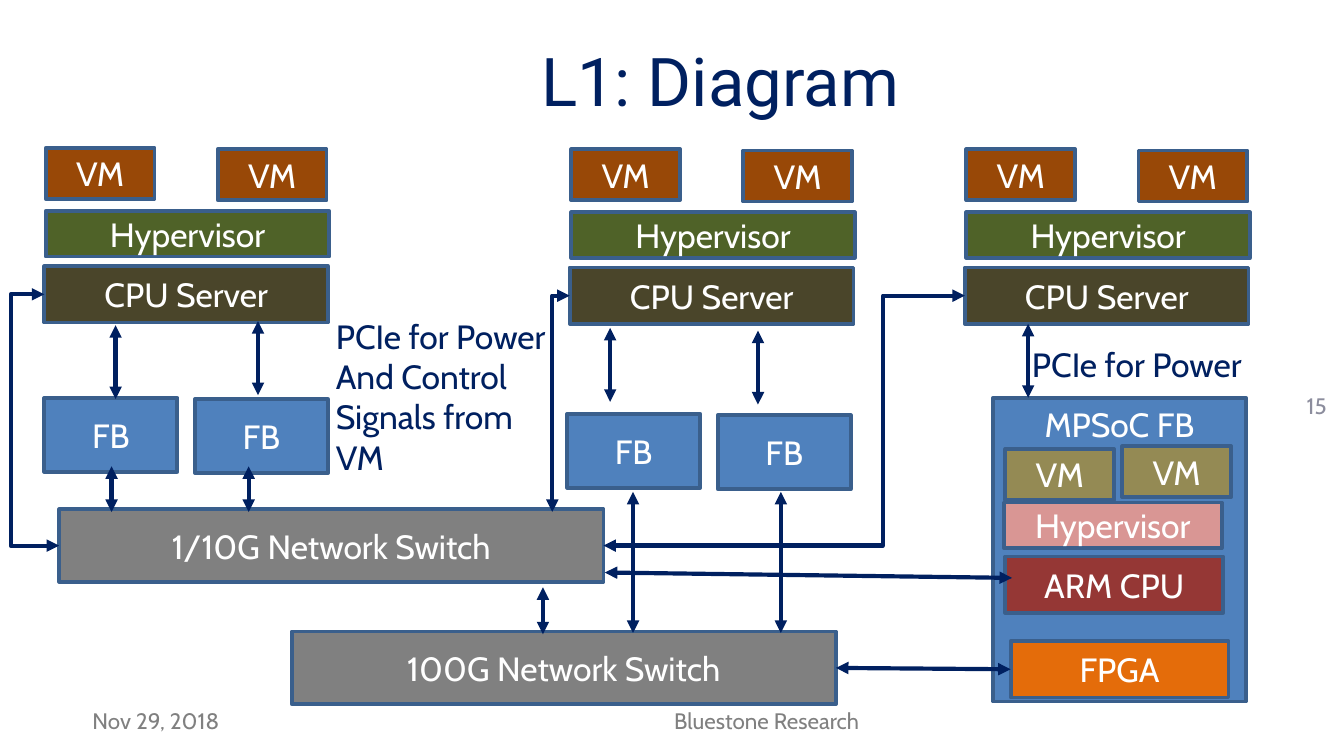
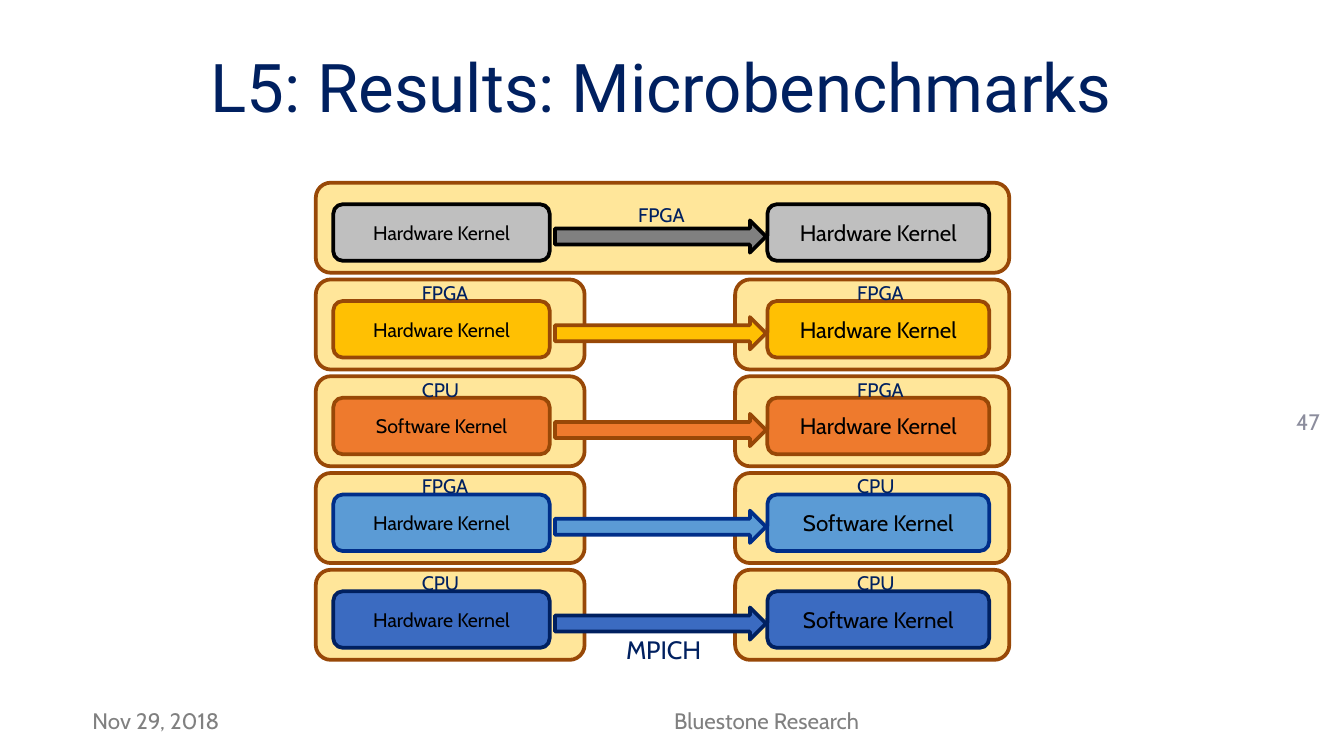
import pptx
import pptx.util
import pptx.dml.color
import pptx.enum.shapes
import pptx.enum.text
import pptx.oxml
import pptx.oxml.ns
from lxml import etree

Inches = pptx.util.Inches
Pt = pptx.util.Pt
RGBColor = pptx.dml.color.RGBColor
Shape = pptx.enum.shapes.MSO_SHAPE
Link = pptx.enum.shapes.MSO_CONNECTOR
Align = pptx.enum.text.PP_ALIGN
Anchor = pptx.enum.text.MSO_ANCHOR
Fit = pptx.enum.text.MSO_AUTO_SIZE
qn = pptx.oxml.ns.qn

NAVY = RGBColor(0x00, 0x20, 0x60)
WHITE = RGBColor(0xFF, 0xFF, 0xFF)
BLACK = RGBColor(0x00, 0x00, 0x00)
GREY = RGBColor(0x80, 0x80, 0x80)
SILVER = RGBColor(0xBF, 0xBF, 0xBF)
MIST = RGBColor(0x8C, 0x8D, 0x9D)
EDGE = RGBColor(0x3A, 0x5F, 0x8C)
BLUE = RGBColor(0x4F, 0x81, 0xBD)
UMBER = RGBColor(0x4A, 0x45, 0x2A)
GREEN = RGBColor(0x4F, 0x62, 0x28)
BROWN = RGBColor(0x98, 0x48, 0x07)
OLIVE = RGBColor(0x94, 0x8A, 0x54)
PINK = RGBColor(0xD9, 0x96, 0x94)
RED = RGBColor(0x95, 0x37, 0x35)
FLAME = RGBColor(0xE4, 0x6C, 0x0A)
CREAM = RGBColor(0xFF, 0xE6, 0x9A)
GOLD = RGBColor(0xFF, 0xC0, 0x03)
ORANGE = RGBColor(0xEE, 0x7A, 0x2D)
SKY = RGBColor(0x5B, 0x9B, 0xD5)
COBALT = RGBColor(0x00, 0x2E, 0x89)
ROYAL = RGBColor(0x3B, 0x6B, 0xC1)

HARD, SOFT = "Hardware Kernel", "Software Kernel"
ROWS = [
    (SILVER, GREY, BLACK, HARD, HARD, None, None),
    (GOLD, GOLD, BROWN, HARD, HARD, "FPGA", "FPGA"),
    (ORANGE, ORANGE, BROWN, SOFT, HARD, "CPU", "FPGA"),
    (SKY, SKY, COBALT, HARD, SOFT, "FPGA", "CPU"),
    (ROYAL, ROYAL, NAVY, HARD, SOFT, "CPU", "CPU"),
]


def place(box):
    return [Inches(n) for n in box]


def write(frame, lines, size, color, align, font="Cabin"):
    for i, line in enumerate(lines):
        para = frame.paragraphs[0] if i == 0 else frame.add_paragraph()
        para.alignment = align
        run = para.add_run()
        run.text = line
        run.font.size = Pt(size)
        run.font.name = font
        run.font.color.rgb = color


def label(slide, box, lines, size=12, color=NAVY, align=Align.LEFT,
          anchor=Anchor.MIDDLE, font="Cabin", wrap=True):
    frame = slide.shapes.add_textbox(*place(box)).text_frame
    frame.word_wrap = wrap
    frame.auto_size = Fit.NONE if wrap else Fit.SHAPE_TO_FIT_TEXT
    frame.vertical_anchor = anchor
    write(frame, lines, size, color, align, font)


def tag(slide, box, text, size=10.5):
    label(slide, box, [text], size, anchor=Anchor.TOP, wrap=False)


def block(slide, box, fill, text=None, edge=EDGE, kind=Shape.RECTANGLE,
          size=18, color=WHITE, anchor=Anchor.MIDDLE):
    shape = slide.shapes.add_shape(kind, *place(box))
    shape.shadow.inherit = False
    shape.fill.solid()
    shape.fill.fore_color.rgb = fill
    shape.line.color.rgb = edge
    shape.line.width = Pt(2)
    if text:
        shape.text_frame.word_wrap = True
        shape.text_frame.vertical_anchor = anchor
        write(shape.text_frame, [text], size, color, Align.CENTER)


def wire(slide, x1, y1, x2, y2, kind=Link.STRAIGHT):
    link = slide.shapes.add_connector(kind, *place((x1, y1, x2, y2)))
    link.line.color.rgb = NAVY
    link.line.width = Pt(2.25)
    props = link._element.spPr
    line = props.find(qn("a:ln"))
    for end in ("a:headEnd", "a:tailEnd"):
        etree.SubElement(line, qn(end), type="triangle")
    etree.SubElement(props, qn("a:effectLst"))
    return props.find(qn("a:prstGeom"))


def bend(slide, x1, y1, x2, y2, via):
    geom = wire(slide, x1, y1, x2, y2, Link.ELBOW)
    if via == x2:
        geom.set("prst", "bentConnector2")
        return
    ratio = round((via - x1) / (x2 - x1) * 100000)
    etree.SubElement(geom.find(qn("a:avLst")), qn("a:gd"),
                     name="adj1", fmla=f"val {ratio}")


def frame_page(slide, title, head, page, spot):
    label(slide, (*head, 8.66, 0.82), [title], 36, NAVY, Align.CENTER,
          font="Roboto")
    label(slide, (*spot, 0.54, 1), [page], 12, MIST, Align.RIGHT)
    label(slide, (0.59, 5.21, 1.57, 0.3), ["Nov 29, 2018"], 12, GREY)
    label(slide, (2.32, 5.21, 6.77, 0.3), ["Bluestone Research"], 12, GREY,
          Align.CENTER)


def server(slide, x, y):
    for i in range(2):
        block(slide, (x + 0.01 + 1.28 * i, y + 0.01 * i, 0.81, 0.38),
              BROWN, "VM")
    block(slide, (x + 0.01, y + 0.47, 2.11, 0.34), GREEN, "Hypervisor")
    block(slide, (x, y + 0.88, 2.11, 0.42), UMBER, "CPU Server")


def boards(slide, x, y):
    for i in range(2):
        block(slide, (x + 1.12 * i, y + 0.01 * i, 0.99, 0.55), BLUE, "FB")


def combo(slide, x, y):
    block(slide, (x, y, 1.88, 2.26), BLUE, "MPSoC FB", anchor=Anchor.TOP)
    parts = [
        (0.09, 1.18, 1.62, 0.42, RED, "ARM CPU"),
        (0.08, 0.78, 1.62, 0.34, PINK, "Hypervisor"),
        (0.09, 0.38, 0.81, 0.38, OLIVE, "VM"),
        (0.96, 0.36, 0.81, 0.38, OLIVE, "VM"),
        (0.13, 1.81, 1.62, 0.42, FLAME, "FPGA"),
    ]
    for dx, dy, w, h, fill, text in parts:
        block(slide, (x + dx, y + dy, w, h), fill, text)


def wires(slide):
    drops = [
        (0.83, 3.47, 0.34), (1.85, 3.47, 0.34), (4.04, 4.37, 0.35),
        (4.71, 3.66, 1.05), (5.81, 3.66, 1.05), (0.86, 2.42, 0.55),
        (1.92, 2.39, 0.55), (4.54, 2.44, 0.55), (5.64, 2.46, 0.55),
        (7.65, 2.41, 0.55),
    ]
    for x, y, h in drops:
        wire(slide, x, y, x, y + h)
    wire(slide, 6.22, 4.97, 7.52, 4.98)
    wire(slide, 4.5, 4.26, 7.53, 4.3)
    bend(slide, 0.33, 2.19, 0.44, 4.06, 0.08)
    bend(slide, 4.24, 2.2, 4.11, 3.81, 4.11)
    bend(slide, 7.18, 2.2, 4.49, 4.06, 6.57)


def diagram(slide):
    frame_page(slide, "L1: Diagram", (1.03, 0.18), "15", (9.43, 2.52))
    for x, y in ((0.33, 1.1), (4.24, 1.11), (7.18, 1.11)):
        server(slide, x, y)
    boards(slide, 0.33, 2.96)
    boards(slide, 4.22, 3.08)
    block(slide, (0.44, 3.79, 4.05, 0.54), GREY, "1/10G Network Switch")
    block(slide, (2.17, 4.7, 4.05, 0.54), GREY, "100G Network Switch")
    combo(slide, 7.39, 2.96)
    wires(slide)
    tag(slide, (7.58, 2.51, 1.79, 0.4), "PCIe for Power", 18)
    label(slide, (2.4, 2.3, 1.81, 1.01),
          ["PCIe for Power", "And Control", "Signals from VM"], 18,
          anchor=Anchor.TOP)


def lane(slide, x, y, row):
    fill, shaft, edge, left, right, near, far = row
    curve = Shape.ROUNDED_RECTANGLE
    bands = [(0, 2), (3.12, 2.04)] if near else [(0, 5.16)]
    for dx, w in bands:
        block(slide, (x + dx, y, w, 0.67), CREAM, edge=BROWN, kind=curve)
    for dx, w, text, size in ((0.13, 1.61, left, 10.5),
                              (3.36, 1.65, right, 12)):
        block(slide, (x + dx, y + 0.16, w, 0.42), fill, text, edge, curve,
              size, BLACK)
    block(slide, (x + 1.78, y + 0.28, 1.57, 0.24), shaft, edge=edge,
          kind=Shape.RIGHT_ARROW)
    tags = [(0.69, near), (3.93, far)] if near else [(2.3, "FPGA")]
    dy = -0.04 if near else 0.1
    for dx, text in tags:
        w = 0.55 if text == "FPGA" else 0.48
        tag(slide, (x + dx, y + dy, w, 0.28), text)


def results(slide):
    frame_page(slide, "L5: Results: Microbenchmarks", (0.59, 0.23), "47",
               (9.38, 2.64))
    for i, row in enumerate(ROWS):
        lane(slide, 2.35, 1.36 + 0.72 * i, row)
    tag(slide, (4.56, 4.67, 0.76, 0.33), "MPICH", 13.5)


def main():
    deck = pptx.Presentation()
    deck.slide_width = Inches(10)
    deck.slide_height = Inches(10) * 9 // 16
    for draw in (diagram, results):
        draw(deck.slides.add_slide(deck.slide_layouts[6]))
    deck.save("out.pptx")


if __name__ == "__main__":
    main()
